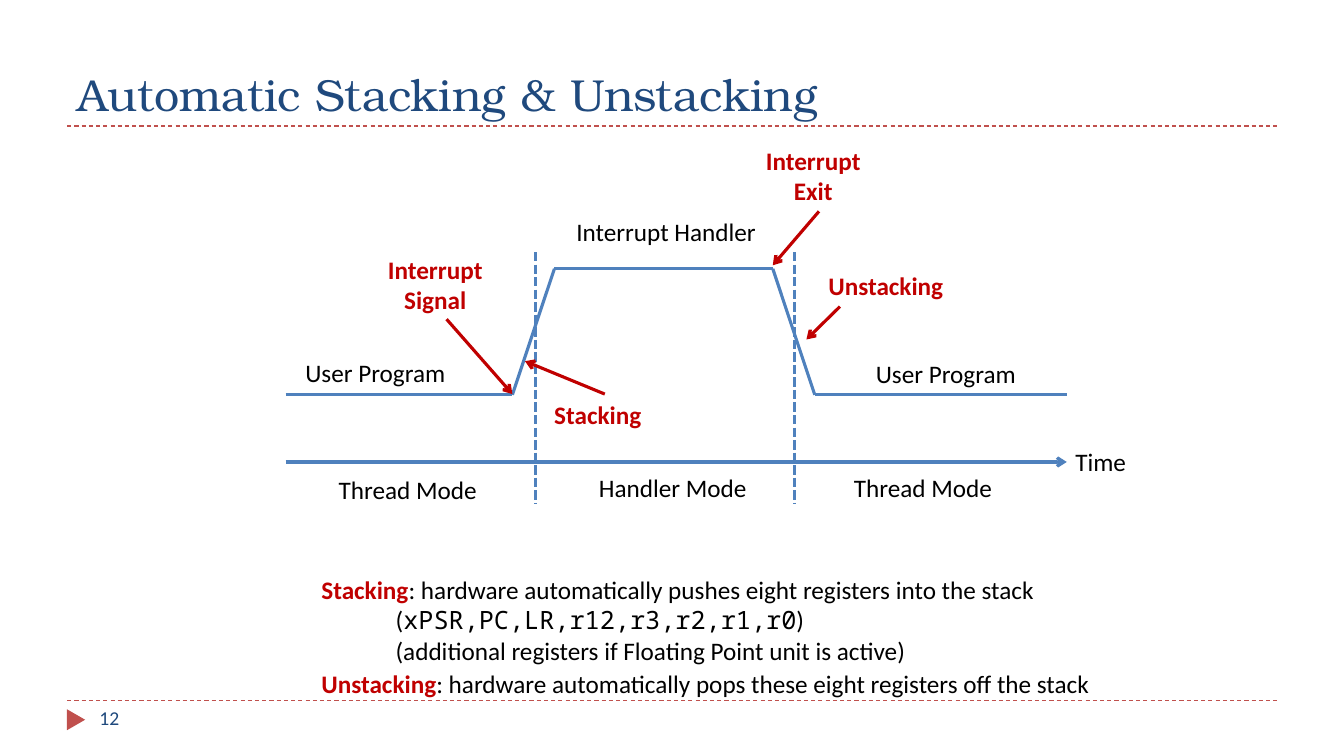
from pptx import Presentation
from pptx.util import Pt
from pptx.dml.color import RGBColor
from pptx.enum.dml import MSO_LINE as Dash
from pptx.enum.shapes import MSO_CONNECTOR as Conn, MSO_SHAPE as Shape
from pptx.enum.text import MSO_ANCHOR as Anchor, MSO_AUTO_SIZE as Fit, PP_ALIGN as Align
from lxml.etree import SubElement
from pptx.oxml.ns import qn

NAVY = RGBColor(0x1F, 0x49, 0x7D)
BLUE = RGBColor(0x4F, 0x81, 0xBD)
BRICK = RGBColor(0xC0, 0x50, 0x4D)
RED = RGBColor(0xC0, 0x00, 0x00)
BLACK = RGBColor(0, 0, 0)

# Content
TITLE = "Automatic Stacking & Unstacking"
NUMBER = "12"
TRACE = [(204, 282), (366, 282), (396, 192), (552, 192), (582, 282), (762, 282)]
AXIS = [(204, 330), (762, 330)]
SWITCH = [382.5, 567.5]
RULES = [90, 500.4]
ARROWS = [
    [(319, 228), (366, 281.5)],
    [(432, 281.5), (375, 258)],
    [(600, 219), (576, 242.5)],
    [(585, 151), (552, 189.5)],
]
# Plain labels: text, left, top, width
LABELS = [
    ("Interrupt Handler", 404.6, 151.2, 145.4),
    ("User Program", 618.5, 252.7, 118),
    ("User Program", 211, 252, 118),
]
# Centred labels: text, left, top, width
MODES = [
    ("Thread Mode", 213.8, 335.5, 154.8),
    ("Handler Mode", 403.2, 334, 154.8),
    ("Thread Mode", 581.8, 334, 154.8),
    ("Time", 756, 315.4, 60.5),
]
# Event labels: lines, left, top, width
EVENTS = [
    (["Interrupt", "Signal"], 270, 177.8, 98.6),
    (["Interrupt", "Exit"], 540, 100, 98.6),
    (["Stacking"], 388.8, 281.5, 87),
    (["Unstacking"], 584.6, 189.4, 109.4),
]
PLAIN = {"size": Pt(18), "name": "Calibri", "bold": False}
STRONG = {**PLAIN, "bold": True}
MONO = {**PLAIN, "name": "Noto Sans Mono"}
# Notes: top, width, height, paragraphs of (indent, runs)
NOTES = [
    (406.8, 527, 72.7, [
        (0, [("Stacking", STRONG, RED),
             (": hardware automatically pushes eight registers into the stack", PLAIN, BLACK)]),
        (53, [("(", PLAIN, BLACK), ("xPSR,PC,LR,r12,r3,r2,r1,r0", MONO, BLACK),
              (")", PLAIN, BLACK)]),
        (53, [("(additional registers if Floating Point unit is active)", PLAIN, BLACK)]),
    ]),
    (473.8, 563.8, 29, [
        (0, [("Unstacking", STRONG, RED),
             (": hardware automatically pops these eight registers off the stack", PLAIN, BLACK)]),
    ]),
]

deck = Presentation()
deck.slide_width, deck.slide_height = Pt(960), Pt(540)
slide = deck.slides.add_slide(deck.slide_layouts[5])
shapes = slide.shapes


def write(para, text, style, color):
    run = para.add_run()
    run.text = text
    for key, value in style.items():
        setattr(run.font, key, value)
    run.font.color.rgb = color


def line(start, end, color, width=2.25, dash=None, arrow=False):
    link = shapes.add_connector(Conn.STRAIGHT, *map(Pt, start + end))
    link.line.color.rgb = color
    link.line.width = Pt(width)
    if dash:
        link.line.dash_style = dash
    props = link._element.spPr
    if arrow:
        SubElement(props.find(qn("a:ln")), qn("a:tailEnd"), type="arrow")
    SubElement(props, qn("a:effectLst"))


def box(left, top, width, height, paras, wrap=False):
    """Fill a text box with (indent, align, runs) paragraphs."""
    frame = shapes.add_textbox(*map(Pt, (left, top, width, height))).text_frame
    frame.word_wrap = wrap
    frame.auto_size = Fit.SHAPE_TO_FIT_TEXT
    for i, (indent, align, runs) in enumerate(paras):
        para = frame.add_paragraph() if i else frame.paragraphs[0]
        para.alignment = align
        if indent:
            props = para._p.get_or_add_pPr()
            props.set("marL", str(Pt(indent)))
            props.set("indent", "0")
        for run in runs:
            write(para, *run)


# Frame: rules, marker, title and number
for y in RULES:
    line((48, y), (912, y), BRICK, 0.75, Dash.DASH)
mark = shapes.add_shape(Shape.ISOSCELES_TRIANGLE, Pt(46.8), Pt(507.6), Pt(15), Pt(13))
mark.rotation = 90
mark.shadow.inherit = False
mark.fill.solid()
mark.fill.fore_color.rgb = BRICK
mark.line.fill.background()

head = shapes.title
head.left, head.top, head.width, head.height = map(Pt, (48, 12.2, 864, 77.8))
frame = head.text_frame
frame.vertical_anchor = Anchor.BOTTOM
frame.auto_size = Fit.NONE
frame.paragraphs[0].alignment = Align.LEFT
write(frame.paragraphs[0], TITLE, {"size": Pt(32), "name": "TeX Gyre Bonum"}, NAVY)
box(64, 500.4, 208, 28.8,
    [(0, Align.LEFT, [(NUMBER, {**PLAIN, "size": Pt(14)}, NAVY)])], True)

# Timing diagram
line(*AXIS, BLUE, arrow=True)
for start, end in zip(TRACE, TRACE[1:]):
    line(start, end, BLUE)
for x in SWITCH:
    line((x, 180), (x, 360), BLUE, dash=Dash.SQUARE_DOT)
for start, end in ARROWS:
    line(start, end, RED, arrow=True)

# Labels
for group, align, wrap in [(LABELS, Align.LEFT, False), (MODES, Align.CENTER, True)]:
    for text, left, top, width in group:
        box(left, top, width, 29, [(0, align, [(text, PLAIN, BLACK)])], wrap)
for lines, left, top, width in EVENTS:
    box(left, top, width, 7 + 22 * len(lines),
        [(0, Align.CENTER if i else Align.LEFT, [(text, STRONG, RED)])
         for i, text in enumerate(lines)])

# Notes
for top, width, height, paras in NOTES:
    box(222.5, top, width, height, [(indent, Align.LEFT, runs) for indent, runs in paras])

deck.save("out.pptx")
